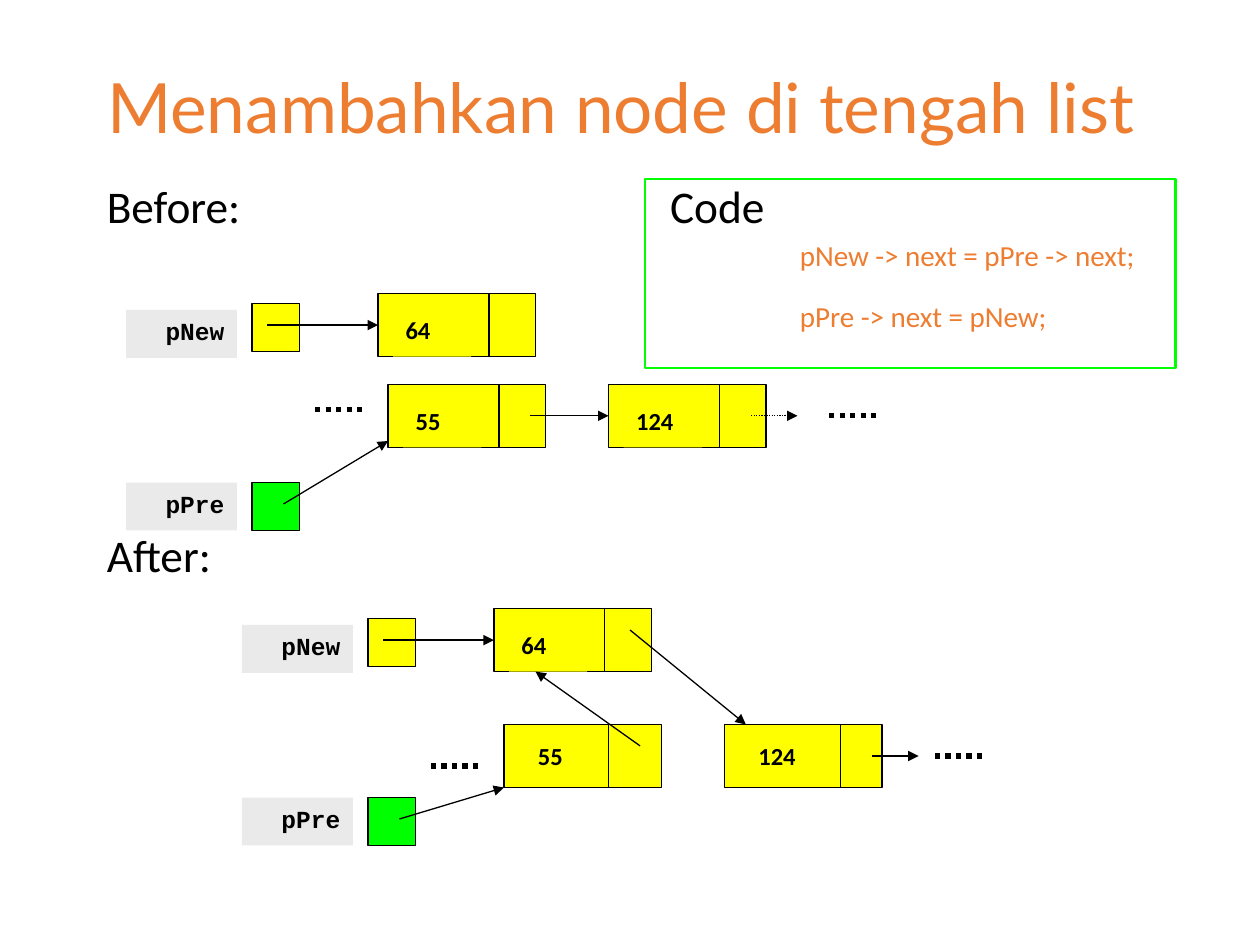
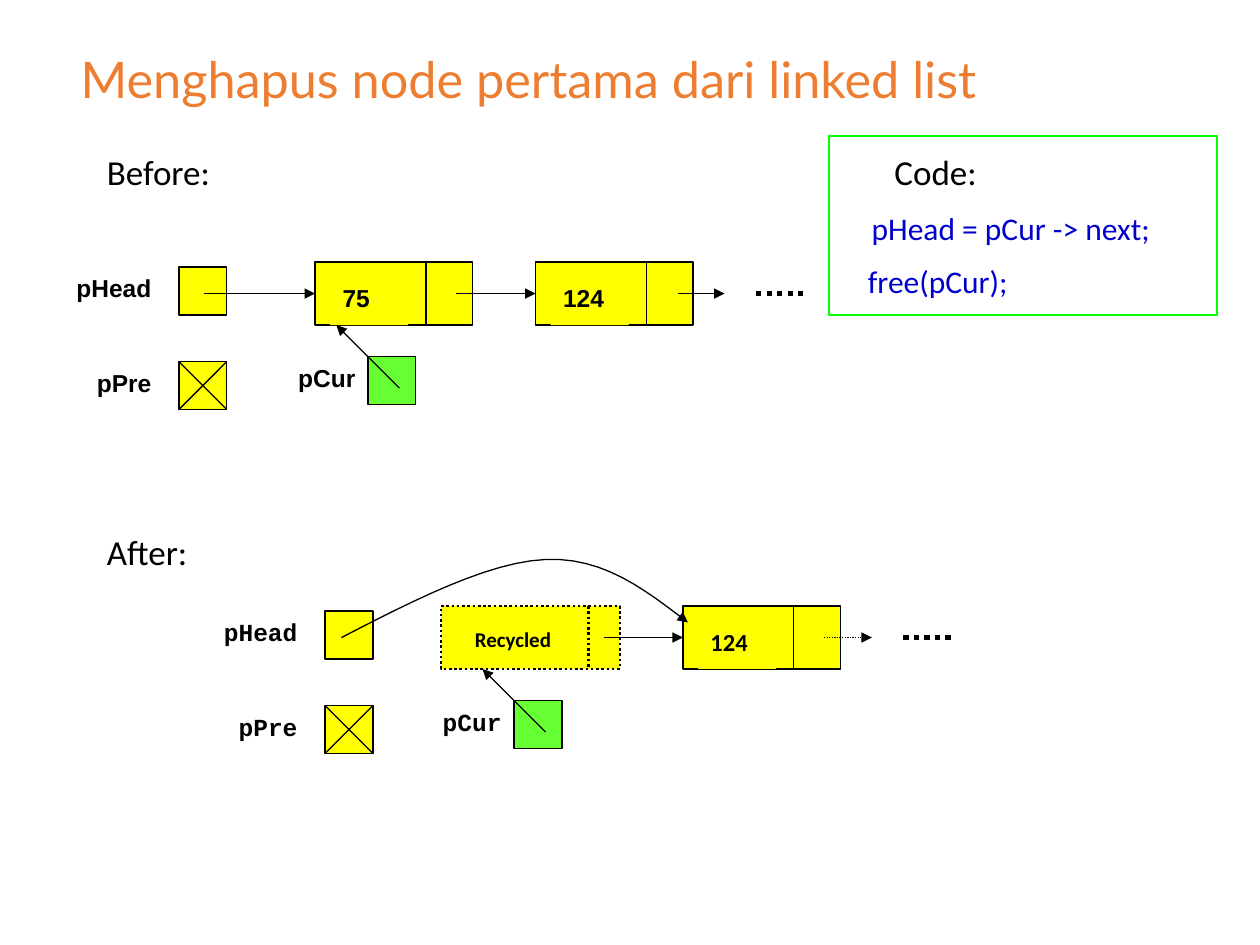
from lxml import etree
from pptx import Presentation
from pptx.dml.color import RGBColor
from pptx.enum.dml import MSO_LINE
from pptx.enum.shapes import MSO_CONNECTOR, MSO_SHAPE
from pptx.enum.text import MSO_ANCHOR, MSO_AUTO_SIZE, PP_ALIGN
from pptx.oxml.ns import qn
from pptx.util import Inches, Pt

BLACK = RGBColor(0x00, 0x00, 0x00)
ORANGE = RGBColor(0xED, 0x7D, 0x31)
BLUE = RGBColor(0x00, 0x00, 0xCC)
YELLOW = RGBColor(0xFF, 0xFF, 0x00)
GREEN = RGBColor(0x00, 0xFF, 0x00)
LIME = RGBColor(0x66, 0xFF, 0x33)
GRAY = RGBColor(0xEA, 0xEA, 0xEA)
LEFT, RIGHT = PP_ALIGN.LEFT, PP_ALIGN.RIGHT
TOP, MIDDLE = MSO_ANCHOR.TOP, MSO_ANCHOR.MIDDLE
RECT, STRAIGHT = MSO_SHAPE.RECTANGLE, MSO_CONNECTOR.STRAIGHT
DOTTED = MSO_LINE.ROUND_DOT

CELL = 0.38       # side of a pointer cell, height of a label
NODE_W, NODE_H = 1.25, 0.5
SPLIT = 0.88      # from a node's left edge to its link field
LABEL_W = 0.88


def add_box(slide, x, y, w, h, fill=None, line=None, width=0.75, dash=None,
            text=None, font="Calibri", size=14, color=BLACK, bold=True,
            align=LEFT, anchor=TOP):
    """Add a text box if there is text, otherwise a rectangle."""
    box = [Inches(v) for v in (x, y, w, h)]
    if text:
        sp = slide.shapes.add_textbox(*box)
        tf = sp.text_frame
        tf.word_wrap, tf.vertical_anchor = True, anchor
        p = tf.paragraphs[0]
        p.alignment = align
        r = p.add_run()
        r.text = text
        for name, value in {"name": font, "size": Pt(size), "bold": bold}.items():
            setattr(r.font, name, value)
        r.font.color.rgb = color
    else:
        sp = slide.shapes.add_shape(RECT, *box)
        sp.shadow.inherit = False
    if fill is None:
        sp.fill.background()
    else:
        sp.fill.solid()
        sp.fill.fore_color.rgb = fill
    if line is None:
        sp.line.fill.background()
    else:
        sp.line.color.rgb = line
        sp.line.width = Pt(width)
        sp.line.dash_style = dash


def add_line(slide, *points, width=0.75, dash=None, arrow=False):
    """Connect two points directly, or more points with an open outline."""
    pts = [(Inches(x), Inches(y)) for x, y in points]
    if len(pts) == 2:
        sp = slide.shapes.add_connector(STRAIGHT, *pts[0], *pts[1])
    else:
        builder = slide.shapes.build_freeform(*pts[0])
        builder.add_line_segments(pts[1:], close=False)
        sp = builder.convert_to_shape()
        sp.fill.background()
    sp.line.color.rgb = BLACK
    sp.line.width = Pt(width)
    sp.line.dash_style = dash
    sp_pr = sp._element.spPr
    if arrow:
        etree.SubElement(sp_pr.find(qn("a:ln")), qn("a:tailEnd"), type="triangle")
    etree.SubElement(sp_pr, qn("a:effectLst"))


# The arc that skips the recycled node: two cubic Bezier pieces
ARC = [[(2.71, 5.06), (3.29, 4.76), (3.88, 4.46), (4.33, 4.44)],
       [(4.33, 4.44), (4.79, 4.42), (5.12, 4.68), (5.46, 4.94)]]
STEPS = 12
arc_points = [ARC[0][0]]
for curve in ARC:
    for step in range(1, STEPS + 1):
        t = step / STEPS
        weights = ((1 - t) ** 3, 3 * t * (1 - t) ** 2, 3 * t * t * (1 - t), t ** 3)
        arc_points.append(tuple(sum(k * pt[axis] for k, pt in zip(weights, curve))
                                for axis in (0, 1)))

# titles: text, left, top, width, height, size
# texts: text, left, middle, size, colour
# pointers: name, left, top of cell, fill, label offset left and down, font,
#           label fill, crossed out
# nodes: value, left, top, and what differs from the usual node
# arrows: from, to, dash
SLIDES = [
    {"title": ("Menambahkan node di tengah list", 0.75, 0.47, 8.5, 0.83, 39.6),
     "texts": [("Before:", 0.75, 1.63, 25.9, BLACK),
               ("Code", 5.22, 1.63, 25.9, BLACK),
               ("pNew -> next = pPre -> next;", 6.25, 2.02, 16.6, ORANGE),
               ("pPre -> next = pNew;", 6.25, 2.51, 16.6, ORANGE),
               ("After:", 0.75, 4.4, 25.9, BLACK)],
     "frame": (5.12, 1.42, 4.21, 1.5),
     "pointers": [("pNew", 2, 2.41, YELLOW, 1, 0.05, "Courier New", GRAY, False),
                  ("pPre", 2, 3.83, GREEN, 1, 0, "Courier New", GRAY, False),
                  ("pNew", 2.92, 4.91, YELLOW, 1, 0.05, "Courier New", GRAY, False),
                  ("pPre", 2.92, 6.33, GREEN, 1, 0, "Courier New", GRAY, False)],
     "nodes": [("64", 3, 2.33, {}), ("55", 3.08, 3.05, {}),
               ("124", 4.83, 3.05, {}), ("64", 3.92, 4.83, {}),
               ("55", 4, 5.75, {"split": 0.83, "inset": (0.17, 0.08)}),
               ("124", 5.75, 5.75, {"split": 0.92, "inset": (0.17, 0.08)})],
     "arrows": [((2.12, 2.58), (3, 2.58), None),
                ((4.21, 3.3), (4.83, 3.3), None),
                ((5.96, 3.3), (6.33, 3.3), DOTTED),
                ((2.25, 4), (3.08, 3.5), None),
                ((3.04, 5.08), (3.92, 5.08), None),
                ((5.08, 5.92), (4.25, 5.33), None),
                ((5, 5), (5.92, 5.75), None),
                ((6.92, 6), (7.29, 6), None),
                ((3.17, 6.5), (4, 6.25), None)],
     "dots": [(2.5, 3.25), (6.58, 3.3), (3.42, 6.08), (7.42, 6)],
     "arcs": []},
    {"title": ("Menghapus node pertama dari linked list", 0.54, 0.28, 8.5, 0.75, 28.8),
     "texts": [("Before:", 0.75, 1.36, 20, BLACK),
               ("Code:", 7, 1.36, 20, BLACK),
               ("pHead = pCur -> next;", 6.82, 1.81, 18, BLUE),
               ("free(pCur);", 6.79, 2.23, 18, BLUE),
               ("After:", 0.75, 4.38, 20, BLACK)],
     "frame": (6.58, 1.08, 3.08, 1.42),
     "pointers": [("pHead", 1.42, 2.12, YELLOW, 1, 0, "Arial", None, False),
                  ("pPre", 1.42, 2.87, YELLOW, 1, 0, "Arial", None, True),
                  ("pCur", 2.92, 2.83, LIME, 0.88, 0, "Arial", None, False),
                  ("pHead", 2.58, 4.85, YELLOW, 1, 0, "Courier New", None, False),
                  ("pPre", 2.58, 5.6, YELLOW, 1, 0, "Courier New", None, True),
                  ("pCur", 4.08, 5.56, LIME, 0.88, 0, "Courier New", None, False)],
     "nodes": [("75", 2.5, 2.08, {"font": "Arial"}),
               ("124", 4.25, 2.08, {"font": "Arial"}),
               ("Recycled", 3.5, 4.81,
                {"w": 1.42, "split": 1.17, "inset": (0.17, 0.11), "value_w": 0.88,
                 "size": 12, "width": 1.5, "dash": DOTTED}),
               ("124", 5.42, 4.81, {})],
     "arrows": [((1.62, 2.33), (2.5, 2.33), None),
                ((3.62, 2.33), (4.25, 2.33), None),
                ((5.38, 2.33), (5.75, 2.33), None),
                ((3.17, 3.08), (2.67, 2.58), None),
                ((4.79, 5.06), (5.42, 5.06), None),
                ((6.54, 5.06), (6.92, 5.06), DOTTED),
                ((4.33, 5.81), (3.83, 5.31), None)],
     "dots": [(6, 2.33), (7.17, 5.06)],
     "arcs": [arc_points]},
]

prs = Presentation()
prs.slide_width, prs.slide_height = Inches(10), Inches(7.5)

for content in SLIDES:
    slide = prs.slides.add_slide(prs.slide_layouts[5])

    text, x, y, w, h, size = content["title"]
    title = slide.shapes.title
    for name, value in zip(("left", "top", "width", "height"), (x, y, w, h)):
        setattr(title, name, Inches(value))
    tf = title.text_frame
    tf.text = text
    tf.auto_size, tf.vertical_anchor = MSO_AUTO_SIZE.NONE, MIDDLE
    p = tf.paragraphs[0]
    p.alignment, p.line_spacing = LEFT, 0.9
    r = p.runs[0]
    r.font.name, r.font.size = "Lato", Pt(size)
    r.font.color.rgb = ORANGE

    for text, x, middle, size, color in content["texts"]:
        add_box(slide, x, middle - 0.25, 3.2, 0.5, text=text, size=size,
                color=color, bold=False, anchor=MIDDLE)

    for name, x, y, fill, back, down, font, label_fill, crossed in content["pointers"]:
        add_box(slide, x, y, CELL, CELL, fill=fill, line=BLACK)
        add_box(slide, x - back, y + down, LABEL_W, CELL, fill=label_fill,
                text=name, font=font, align=RIGHT)
        if crossed:
            add_line(slide, (x, y), (x + CELL, y + CELL))
            add_line(slide, (x + CELL, y), (x, y + CELL))

    for value, x, y, change in content["nodes"]:
        stroke = {"width": change.get("width", 0.75), "dash": change.get("dash")}
        add_box(slide, x, y, change.get("w", NODE_W), NODE_H, fill=YELLOW,
                line=BLACK, **stroke)
        split = x + change.get("split", SPLIT)
        add_line(slide, (split, y), (split, y + NODE_H), **stroke)
        dx, dy = change.get("inset", (0.12, 0.12))
        add_box(slide, x + dx, y + dy, change.get("value_w", 0.62), CELL,
                fill=YELLOW, text=value, font=change.get("font", "Calibri"),
                size=change.get("size", 14))

    for start, end, dash in content["arrows"]:
        add_line(slide, start, end, dash=dash, arrow=True)
    for x, y in content["dots"]:
        add_line(slide, (x, y), (x + CELL, y), width=3, dash=DOTTED)
    for points in content["arcs"]:
        add_line(slide, *points, arrow=True)

    add_box(slide, *content["frame"], line=GREEN, width=1.5)

prs.save("out.pptx")
